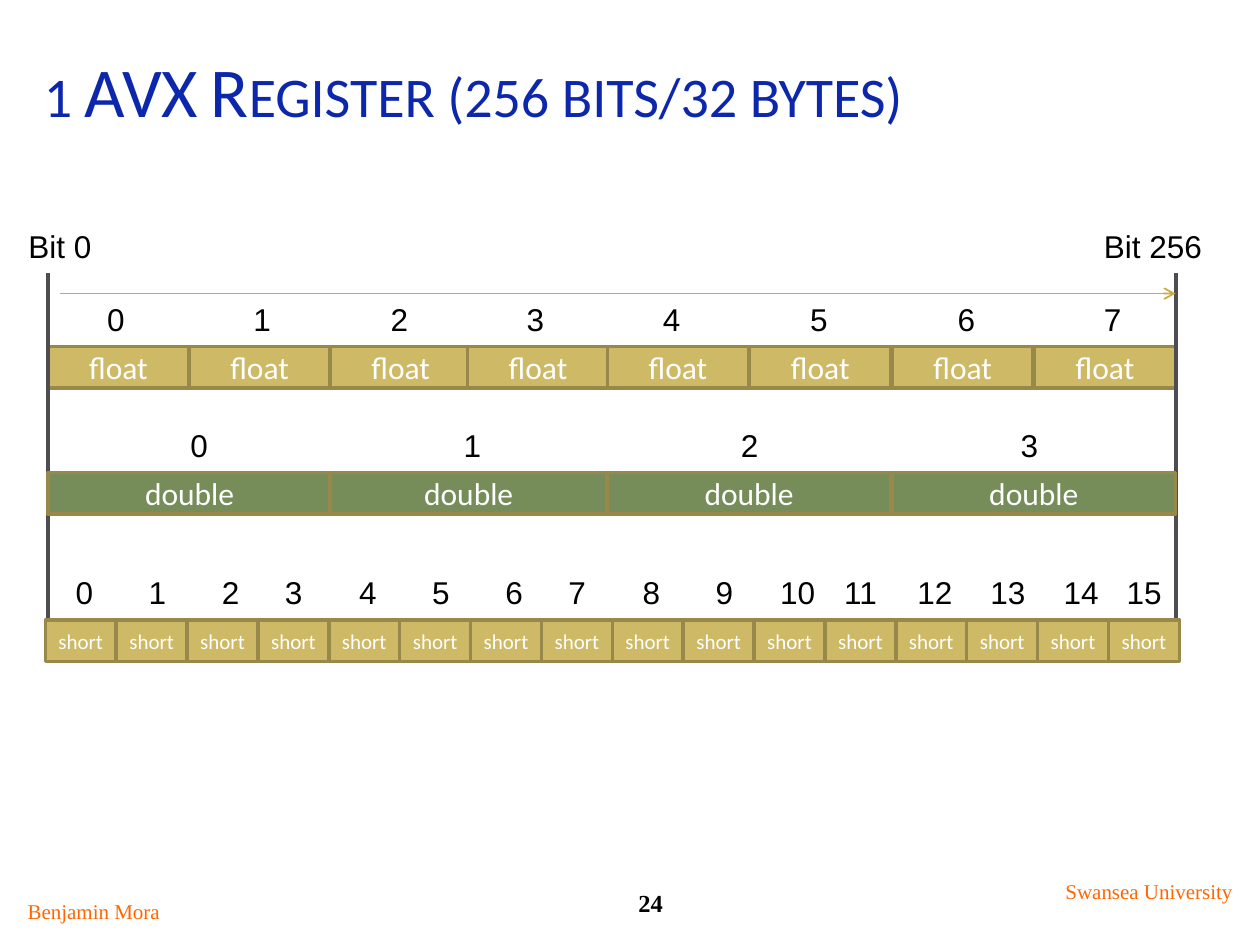
from dataclasses import dataclass

from pptx import Presentation
from pptx.dml.color import RGBColor
from pptx.enum.shapes import MSO_CONNECTOR as Connector, MSO_SHAPE as Shape
from pptx.enum.text import MSO_ANCHOR as Anchor, MSO_AUTO_SIZE as AutoSize, PP_ALIGN as Align
from pptx.oxml.ns import qn
from pptx.util import Inches, Pt


@dataclass(frozen=True)
class Theme:
    title: str = "0C27AC"
    footer: str = "FF6600"
    ink: str = "000000"
    cell_text: str = "FFFFFF"
    gold: str = "CEB966"
    green: str = "768D5A"
    border: str = "98894B"
    edge: str = "4F4D52"
    arrow: str = "C7AC41"
    sans: str = "Arial"
    heading: str = "Calibri"
    serif: str = "Times New Roman"
    title_size: int = 40
    body_size: int = 18
    number_size: int = 14
    small_size: int = 12


THEME = Theme()
CELL_HEIGHT = 0.33
LEFT_EDGE, RIGHT_EDGE = 0.38, 9.33


def color(value):
    return RGBColor.from_string(value)


def write(frame, text, *, size=THEME.body_size, font=THEME.sans, ink=THEME.ink,
          bold=False, small_caps=False, align=Align.CENTER, anchor=Anchor.TOP, wrap=True):
    frame.word_wrap = wrap
    frame.vertical_anchor = anchor
    para = frame.paragraphs[0]
    para.alignment = align
    span = para.add_run()
    span.text = text
    span.font.size = Pt(size)
    span.font.name = font
    span.font.bold = bold
    span.font.color.rgb = color(ink)
    if small_caps:
        span.font._element.set("cap", "small")


def add_text(page, text, left, top, width, height, *, grow=True, **style):
    box = page.shapes.add_textbox(Inches(left), Inches(top), Inches(width), Inches(height))
    write(box.text_frame, text, **style)
    box.text_frame.auto_size = AutoSize.SHAPE_TO_FIT_TEXT if grow else AutoSize.NONE


def add_cell(page, text, left, top, width, *, fill, size):
    box = page.shapes.add_shape(Shape.RECTANGLE, Inches(left), Inches(top),
                                Inches(width), Inches(CELL_HEIGHT))
    box.shadow.inherit = False
    box.fill.solid()
    box.fill.fore_color.rgb = color(fill)
    box.line.color.rgb = color(THEME.border)
    box.line.width = Pt(2)
    write(box.text_frame, text, size=size, font=THEME.heading, ink=THEME.cell_text,
          anchor=Anchor.MIDDLE, wrap=False)


def add_row(page, kind, top, lefts, widths, label_lefts, *, fill, size=THEME.body_size):
    """A row of equal data types with its lane numbers above it."""
    for left, width in zip(lefts, widths):
        add_cell(page, kind, left, top, width, fill=fill, size=size)
    for lane, left in enumerate(label_lefts):
        add_text(page, str(lane), left, top - 0.42, 0.5, 0.42)


def add_line(page, start, end, *, ink, width, arrow=False):
    line = page.shapes.add_connector(Connector.STRAIGHT, *map(Inches, (*start, *end)))
    line.line.color.rgb = color(ink)
    line.line.width = Pt(width)
    if arrow:
        outline = line.line._get_or_add_ln()
        tail = outline.makeelement(qn("a:tailEnd"), {"type": "arrow"})
        outline.append(tail)
    properties = line._element.spPr
    properties.append(properties.makeelement(qn("a:effectLst"), {}))


def main():
    deck = Presentation()
    deck.slide_width, deck.slide_height = Inches(10), Inches(7.5)
    page = deck.slides.add_slide(deck.slide_layouts[6])

    # Title and footer
    add_text(page, "1 AVX Register (256 bits/32 bytes)", 0.25, 0.17, 9.5, 0.92,
             size=THEME.title_size, font=THEME.heading, ink=THEME.title,
             small_caps=True, align=Align.LEFT, anchor=Anchor.BOTTOM, grow=False)
    add_text(page, "24", 4.5, 7, 1.33, 0.33,
             size=THEME.number_size, font=THEME.serif, bold=True)
    footer = dict(size=THEME.small_size, font=THEME.serif, ink=THEME.footer)
    add_text(page, "Benjamin Mora", 0.08, 7.08, 1.33, 0.3, **footer)
    add_text(page, "Swansea University", 8.33, 6.92, 1.58, 0.3, **footer)

    # Eight floats
    float_lefts = [0.38, 1.5, 2.62, 3.71, 4.82, 5.95, 7.08, 8.21]
    add_row(page, "float", 2.75, float_lefts, [1.12] * 8,
            [0.67, 1.83, 2.92, 4, 5.08, 6.25, 7.42, 8.58], fill=THEME.gold)

    # Register edges
    for x in (LEFT_EDGE, RIGHT_EDGE):
        add_line(page, (x, 2.17), (x, 5.25), ink=THEME.edge, width=2.25)
    add_text(page, "Bit 0", 0.12, 1.75, 0.71, 0.4, wrap=False)
    add_text(page, "Bit 256", 8.46, 1.75, 1.38, 0.42)

    # Four doubles, each starting at every second float
    add_row(page, "double", 3.75, float_lefts[::2], [2.25, 2.2, 2.25, 2.25],
            [1.33, 3.5, 5.7, 7.92], fill=THEME.green)

    # Bit direction
    add_line(page, (0.48, 2.33), (RIGHT_EDGE, 2.33), ink=THEME.arrow, width=1, arrow=True)

    # Sixteen shorts, numbered in groups of four
    group = 2.25
    add_row(page, "short", 4.92, [0.36 + lane * group / 4 for lane in range(16)],
            [group / 4] * 16,
            [0.42 + part * group + step for part in range(4)
             for step in (0, 0.58, 1.16, 1.66)],
            fill=THEME.gold, size=THEME.small_size)

    deck.save("out.pptx")


if __name__ == "__main__":
    main()
